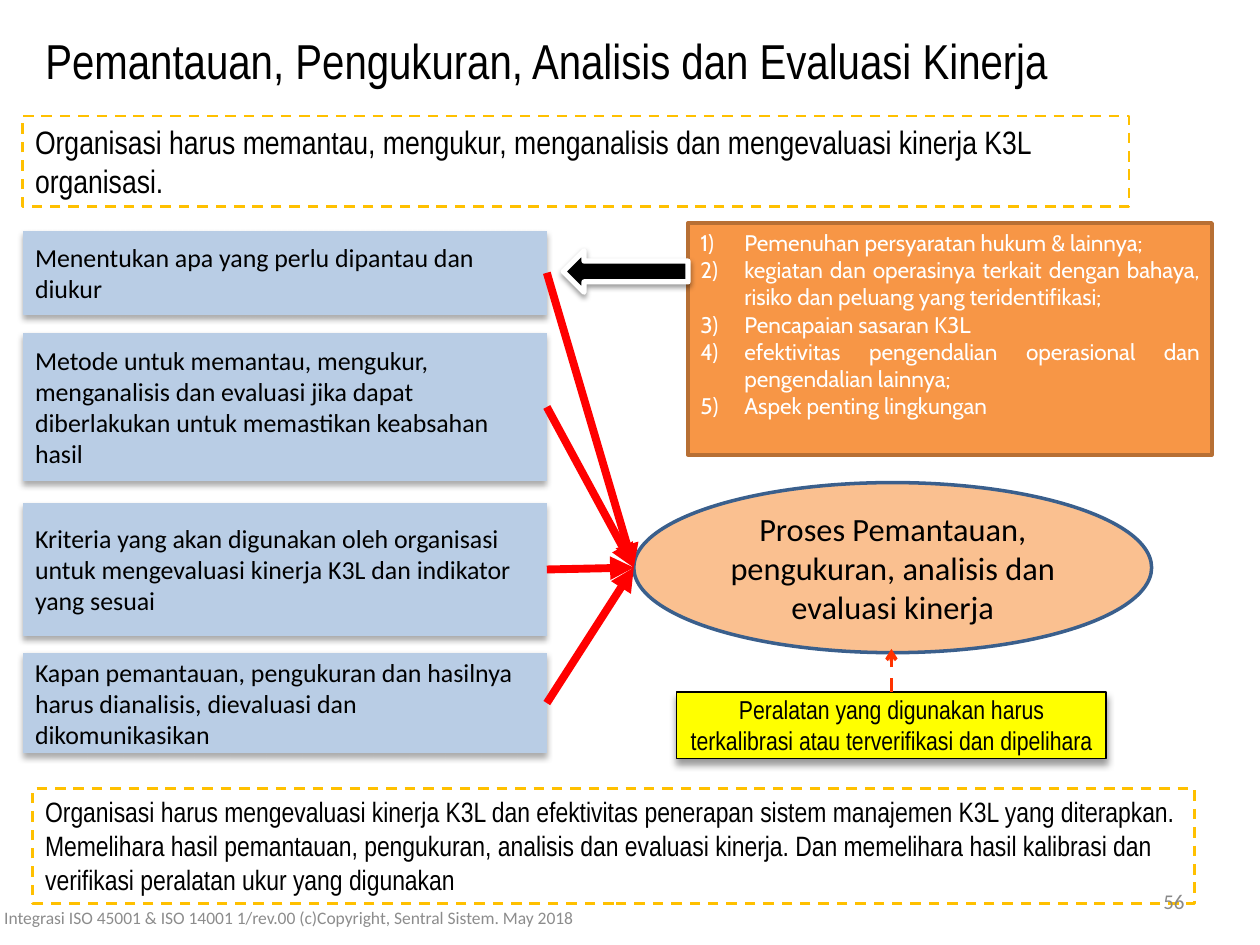
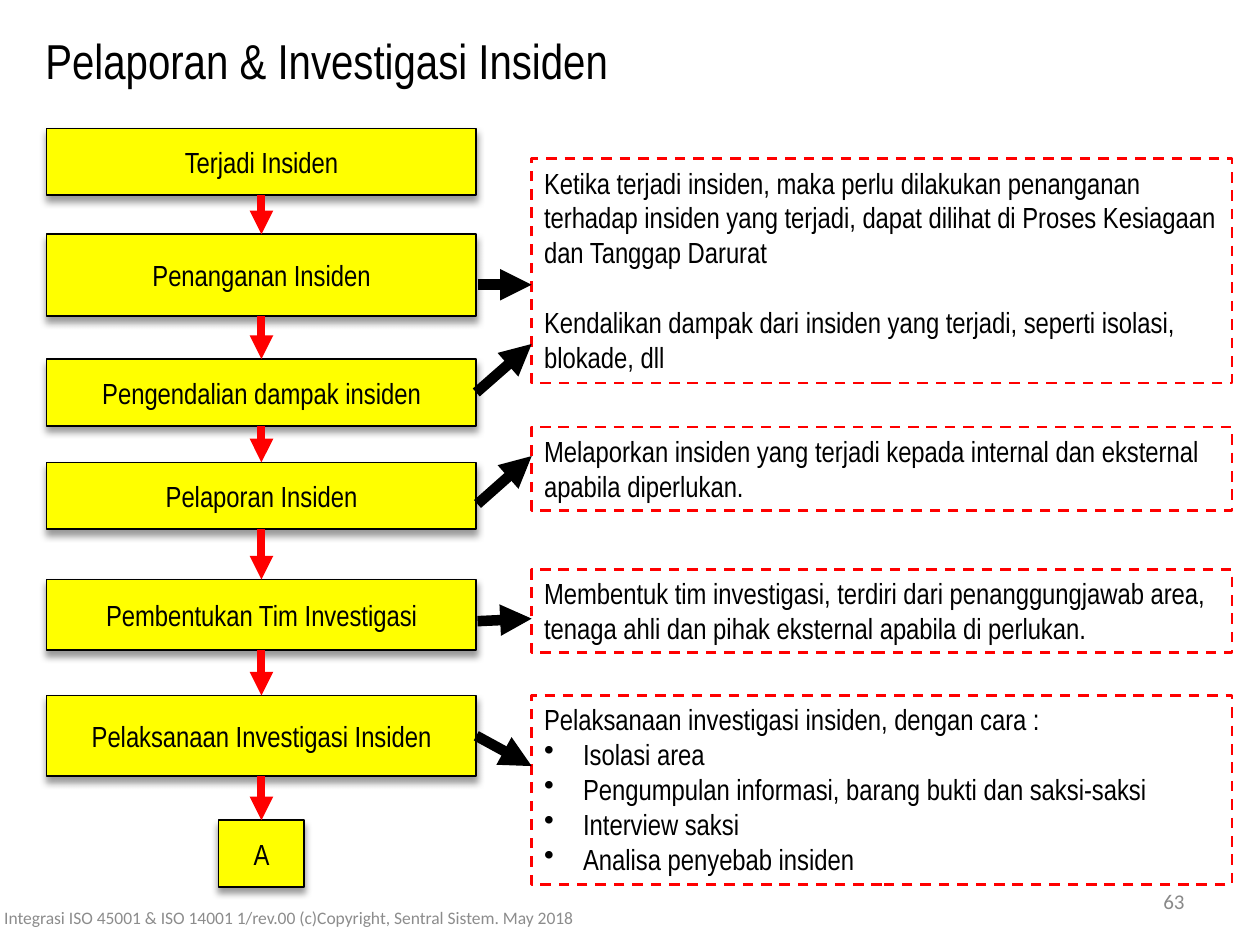
from collections import namedtuple
from dataclasses import dataclass

from lxml.etree import SubElement
from pptx import Presentation
from pptx.dml.color import RGBColor
from pptx.enum.dml import MSO_LINE as Dash
from pptx.enum.shapes import MSO_CONNECTOR as Conn, MSO_SHAPE as Shape
from pptx.enum.text import MSO_ANCHOR as Anchor, MSO_AUTO_SIZE as AutoSize, PP_ALIGN as Align
from pptx.oxml.ns import qn
from pptx.util import Inches, Pt

Box = namedtuple("Box", "left top width height")
TOP, LEFT, BOTTOM, RIGHT = range(4)


@dataclass(frozen=True)
class Theme:
    narrow: str = "Arial Narrow"
    body: str = "Calibri"
    accent_font: str = "Cabin"
    black: str = "000000"
    white: str = "FFFFFF"
    yellow: str = "FFFF00"
    red: str = "FF0000"
    gold: str = "FFC000"
    blue: str = "B9CDE5"
    peach: str = "FAC090"
    peach_line: str = "3A5F8C"
    orange: str = "F79646"
    orange_line: str = "B76F34"
    calibration: str = "FF3300"
    number: str = "898989"
    footer: str = "8C8C8C"
    title_size: float = 28
    lead_size: float = 18.5
    flow_size: float = 16.6
    note_size: float = 16
    label_size: float = 14.8
    list_size: float = 12.9
    number_size: float = 12
    footer_size: float = 10


T = Theme()
FOOTER = "Integrasi ISO 45001 & ISO 14001 1/rev.00 (c)Copyright, Sentral Sistem. May 2018"
SOFT_SHADOW = (32, 3.5, 2.2)
DEEP_SHADOW = (40, 4, 3)
ARROW_SHADOW = (38, 3.1, 1.6)
NUMBERED = ("a:buAutoNum", {"type": "arabicParenR"}, 0.35)
BULLETED = ("a:buChar", {"char": "•"}, 0.31)


def rgb(value):
    return RGBColor.from_string(value)


def set_all(obj, values):
    for name, value in values.items():
        setattr(obj, name, value)


def inches(box):
    return [Inches(v) for v in box]


def add_bullet(p, bullet):
    tag, attrs, indent = bullet
    pPr = p._p.get_or_add_pPr()
    pPr.set("marL", str(Inches(indent)))
    pPr.set("indent", str(-Inches(indent)))
    SubElement(pPr, qn(tag), attrs)


def write(tf, lines, size, font=T.narrow, color=T.black, align=Align.LEFT,
          anchor=Anchor.TOP, bullet=None, first_bullet=0, gap=0):
    set_all(tf, {"word_wrap": True, "auto_size": AutoSize.NONE, "vertical_anchor": anchor})
    for i, line in enumerate(lines):
        p = tf.add_paragraph() if i else tf.paragraphs[0]
        p.alignment = align
        if i and gap:
            p.space_before = Pt(gap)
        if bullet and i >= first_bullet:
            add_bullet(p, bullet)
        r = p.add_run()
        r.text = line
        set_all(r.font, {"name": font, "size": Pt(size)})
        r.font.color.rgb = rgb(color)


def draw_line(line, color, width, dash=None):
    line.color.rgb = rgb(color)
    set_all(line, {"width": Pt(width), "dash_style": dash})


def add_block(slide, box, kind=Shape.RECTANGLE, fill=None, line=None, shadow=None):
    sp = slide.shapes.add_shape(kind, *inches(box))
    sp.shadow.inherit = False
    if fill:
        sp.fill.solid()
        sp.fill.fore_color.rgb = rgb(fill)
    else:
        sp.fill.background()
    if line:
        draw_line(sp.line, *line)
    else:
        sp.line.fill.background()
    if shadow:
        alpha, blur, dist = shadow
        effects = sp._element.spPr.find(qn("a:effectLst"))
        outer = SubElement(effects, qn("a:outerShdw"), {
            "blurRad": str(Pt(blur)), "dist": str(Pt(dist)),
            "dir": "5400000", "rotWithShape": "0"})
        clr = SubElement(outer, qn("a:srgbClr"), {"val": T.black})
        SubElement(clr, qn("a:alpha"), {"val": str(alpha * 1000)})
    return sp


def add_arrow(slide, start, end, color, width, dash=None, head="triangle",
              source=None, target=None):
    cn = slide.shapes.add_connector(Conn.STRAIGHT, *inches(start + end))
    if source:
        cn.begin_connect(*source)
    if target:
        cn.end_connect(*target)
    draw_line(cn.line, color, width, dash)
    SubElement(cn.line._get_or_add_ln(), qn("a:tailEnd"), {"type": head})
    SubElement(cn._element.spPr, qn("a:effectLst"))
    return cn


def dashed_note(slide, box, lines, size, color, **fmt):
    sp = add_block(slide, box, line=(color, 1.5, Dash.DASH))
    write(sp.text_frame, lines, size, **fmt)


def yellow_block(slide, box, text, size):
    sp = add_block(slide, box, fill=T.yellow, line=(T.black, 1), shadow=DEEP_SHADOW)
    write(sp.text_frame, [text], size, align=Align.CENTER, anchor=Anchor.MIDDLE)
    return sp


def add_text(slide, box, text, size, **fmt):
    tb = slide.shapes.add_textbox(*inches(box))
    write(tb.text_frame, [text], size, anchor=Anchor.MIDDLE, **fmt)


def new_slide(prs, title):
    slide = prs.slides.add_slide(prs.slide_layouts[5])
    sp = slide.shapes.title
    set_all(sp, dict(zip(Box._fields, inches((0.26, 0.19, 9.74, 0.57)))))
    write(sp.text_frame, [title], T.title_size)
    return slide


def add_footer(slide, number):
    add_text(slide, Box(7.17, 6.95, 2.33, 0.4), number, T.number_size,
             font=T.body, color=T.number, align=Align.RIGHT)
    add_text(slide, Box(-0.19, 7.08, 4.96, 0.4), FOOTER, T.footer_size,
             font=T.body, color=T.footer, align=Align.CENTER)


def inputs_to_process(slide, area):
    inputs = [
        (0, 0.67, "Menentukan apa yang perlu dipantau dan diukur"),
        (0.81, 1.18, "Metode untuk memantau, mengukur, menganalisis dan evaluasi jika dapat "
                     "diberlakukan untuk memastikan keabsahan hasil"),
        (2.16, 1.06, "Kriteria yang akan digunakan oleh organisasi untuk mengevaluasi "
                     "kinerja K3L dan indikator yang sesuai"),
        (3.35, 0.8, "Kapan pemantauan, pengukuran dan hasilnya harus dianalisis, "
                    "dievaluasi dan dikomunikasikan"),
    ]
    blocks = []
    for dy, height, text in inputs:
        sp = add_block(slide, Box(area.left, area.top + dy, 4.16, height),
                       Shape.FLOWCHART_PROCESS, T.blue, shadow=SOFT_SHADOW)
        write(sp.text_frame, [text], T.label_size, font=T.body, anchor=Anchor.MIDDLE)
        blocks.append(sp)

    process = Box(area.left + area.width - 4.11, area.top + 2, 4.11, 1.35)
    sp = add_block(slide, process, Shape.OVAL, T.peach, (T.peach_line, 2))
    write(sp.text_frame, ["Proses Pemantauan, pengukuran, analisis dan evaluasi kinerja"],
          T.lead_size, font=T.body, align=Align.CENTER, anchor=Anchor.MIDDLE)
    entry = (process.left, process.top + process.height / 2)
    for block in blocks:
        add_arrow(slide, entry, entry, T.red, 4.5, source=(block, RIGHT))

    tools = Box(process.left + 0.34, process.top + 1.66, 3.41, 0.53)
    sp = yellow_block(slide, tools, "Peralatan yang digunakan harus terkalibrasi atau "
                      "terverifikasi dan dipelihara", T.label_size)
    tip = (tools.left + tools.width / 2, tools.top - 0.34)
    add_arrow(slide, tip, tip, T.calibration, 2, Dash.DASH, "arrow", source=(sp, TOP))


def monitored_subjects(slide, area):
    sp = add_block(slide, area, fill=T.orange, line=(T.orange_line, 2))
    write(sp.text_frame, [
        "Pemenuhan persyaratan hukum & lainnya;",
        "kegiatan dan operasinya terkait dengan bahaya, risiko dan peluang yang teridentifikasi;",
        "Pencapaian sasaran K3L",
        "efektivitas pengendalian operasional dan pengendalian lainnya;",
        "Aspek penting lingkungan",
    ], T.list_size, font=T.accent_font, color=T.white, align=Align.JUSTIFY, bullet=NUMBERED)
    add_block(slide, Box(area.left - 0.99, area.top + 0.22, 0.99, 0.33), Shape.LEFT_ARROW,
              T.black, (T.white, 3), ARROW_SHADOW)


def incident_flow(slide, area):
    steps = [
        (0, 0.53, "Terjadi Insiden"),
        (0.84, 0.65, "Penanganan Insiden"),
        (1.83, 0.53, "Pengendalian dampak insiden"),
        (2.65, 0.53, "Pelaporan Insiden"),
        (3.58, 0.56, "Pembentukan Tim Investigasi"),
        (4.5, 0.64, "Pelaksanaan Investigasi Insiden"),
    ]
    blocks = [yellow_block(slide, Box(area.left, area.top + dy, area.width, height),
                           text, T.flow_size) for dy, height, text in steps]
    link = Box(area.left + (area.width - 0.68) / 2, area.top + 5.49, 0.68, 0.53)
    blocks.append(yellow_block(slide, link, "A", T.flow_size))
    for upper, lower in zip(blocks, blocks[1:]):
        add_arrow(slide, (0, 0), (0, 0), T.red, 4.5,
                  source=(upper, BOTTOM), target=(lower, TOP))
    return blocks


def step_notes(slide, area):
    notes = [
        (0, 1.78, ["Ketika terjadi insiden, maka perlu dilakukan penanganan terhadap insiden "
                   "yang terjadi, dapat dilihat di Proses Kesiagaan dan Tanggap Darurat",
                   "Kendalikan dampak dari insiden yang terjadi, seperti isolasi, blokade, dll"],
         {"gap": 20}),
        (2.13, 0.66, ["Melaporkan insiden yang terjadi kepada internal dan eksternal "
                      "apabila diperlukan."], {}),
        (3.26, 0.66, ["Membentuk tim investigasi, terdiri dari penanggungjawab area, "
                      "tenaga ahli dan pihak eksternal apabila di perlukan."], {}),
        (4.26, 1.5, ["Pelaksanaan investigasi insiden, dengan cara :",
                     "Isolasi area",
                     "Pengumpulan informasi, barang bukti dan saksi-saksi",
                     "Interview saksi",
                     "Analisa penyebab insiden"], {"bullet": BULLETED, "first_bullet": 1}),
    ]
    for dy, height, lines, fmt in notes:
        dashed_note(slide, Box(area.left, area.top + dy, area.width, height),
                    lines, T.flow_size, T.red, **fmt)


def note_arrows(slide, area, blocks):
    arrows = [(0, 0, None), (0.86, 0.47, blocks[2]), (1.74, 1.36, None),
              (2.67, 2.65, None), (3.6, 3.82, blocks[5])]
    for start, end, block in arrows:
        add_arrow(slide, (area.left, area.top + start),
                  (area.left + area.width, area.top + end), T.black, 6,
                  source=(block, RIGHT) if block else None)


def monitoring_slide(prs):
    slide = new_slide(prs, "Pemantauan, Pengukuran, Analisis dan Evaluasi Kinerja")
    dashed_note(slide, Box(0.18, 0.92, 8.78, 0.72),
                ["Organisasi harus memantau, mengukur, menganalisis dan mengevaluasi "
                 "kinerja K3L organisasi."], T.lead_size, T.gold)
    inputs_to_process(slide, Box(0.18, 1.83, 8.96, 4.19))
    monitored_subjects(slide, Box(5.46, 1.77, 4.16, 1.84))
    dashed_note(slide, Box(0.26, 6.26, 9.22, 0.91),
                ["Organisasi harus mengevaluasi kinerja K3L dan efektivitas penerapan sistem "
                 "manajemen K3L yang diterapkan. Memelihara hasil pemantauan, pengukuran, "
                 "analisis dan evaluasi kinerja. Dan memelihara hasil kalibrasi dan verifikasi "
                 "peralatan ukur yang digunakan"], T.note_size, T.gold)
    add_footer(slide, "56")


def incident_slide(prs):
    slide = new_slide(prs, "Pelaporan & Investigasi Insiden")
    blocks = incident_flow(slide, Box(0.37, 1.02, 3.41, 6.02))
    step_notes(slide, Box(4.22, 1.26, 5.56, 5.76))
    note_arrows(slide, Box(3.79, 2.26, 0.43, 3.82), blocks)
    add_footer(slide, "63")


def main():
    prs = Presentation()
    set_all(prs, {"slide_width": Inches(10), "slide_height": Inches(7.5)})
    monitoring_slide(prs)
    incident_slide(prs)
    prs.save("out.pptx")


if __name__ == "__main__":
    main()
